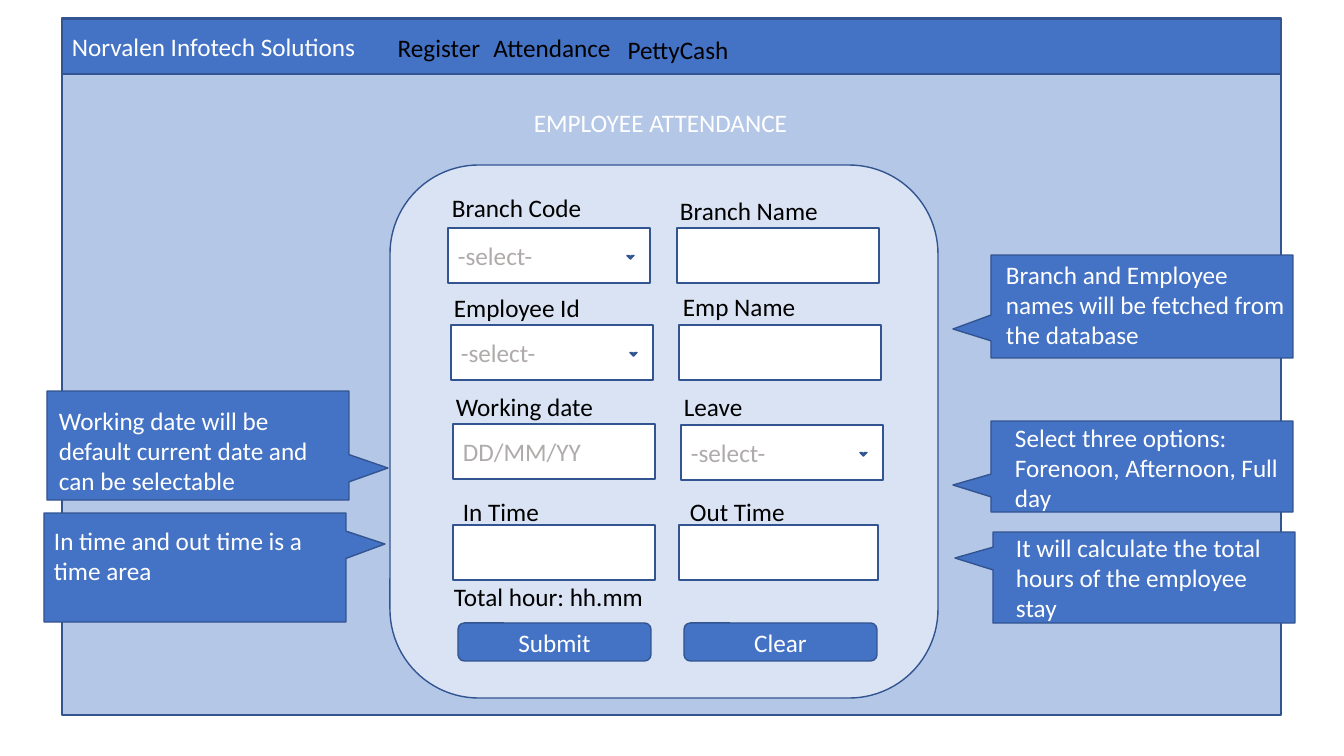
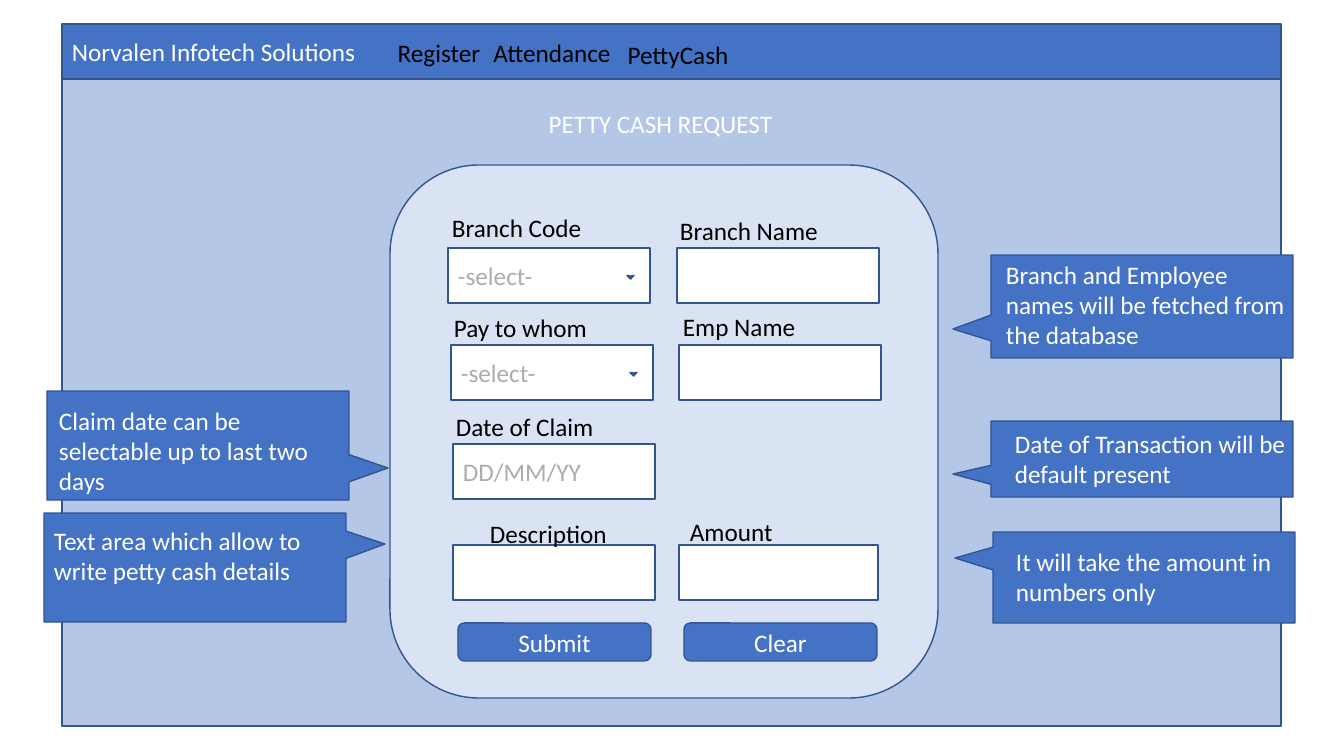
"""Build two annotated wireframes of office forms: attendance and petty cash."""
from pptx import Presentation
from pptx.dml.color import RGBColor
from pptx.enum.shapes import MSO_SHAPE
from pptx.enum.text import MSO_ANCHOR, MSO_AUTO_SIZE, PP_ALIGN
from pptx.util import Emu, Pt

PX = 914400 / 100.8
FONT = "Calibri"
COLORS = {
    "page": "B4C7E7",
    "card": "DAE3F3",
    "accent": "4472C4",
    "line": "325491",
    "white": "FFFFFF",
    "black": "000000",
    "hint": "AFABAB",
}
COMPANY = "Norvalen Infotech Solutions"
NAV = [("Register", 349, 0), ("Attendance", 462, 0), ("PettyCash", 588, 2)]
BUTTONS = [("Submit", 458), ("Clear", 684)]
SELECT, DATE = "-select-", "DD/MM/YY"

SLOTS = [
    ((442, 187), (448, 228, 202)),
    ((670, 190), (677, 228, 202)),
    ((444, 287), (451, 325, 202)),
    ((673, 286), (679, 325, 202)),
    ((446, 386), (453, 424, 202)),
    ((674, 386), (681, 425, 202)),
    ((453, 491), (453, 525, 202)),
    ((680, 491), (679, 525, 199)),
]


def px(n):
    return Emu(round(n * PX))


def rgb(name):
    return RGBColor.from_string(COLORS[name])


class Wireframe:
    """Hold the shared style and the slide being drawn."""

    def __init__(self):
        self.prs = Presentation()
        self.prs.slide_width = px(1344)
        self.prs.slide_height = px(756)
        self.s = None

    def set_text(self, sp, text, color, align=PP_ALIGN.LEFT, anchor=MSO_ANCHOR.MIDDLE):
        tf = sp.text_frame
        tf.text = text
        tf.word_wrap = True
        tf.auto_size = MSO_AUTO_SIZE.NONE
        tf.vertical_anchor = anchor
        p = tf.paragraphs[0]
        p.alignment = align
        font = p.runs[0].font
        font.name, font.size = FONT, Pt(18)
        font.color.rgb = rgb(color)

    def box(self, x, y, w, h, fill, kind=MSO_SHAPE.RECTANGLE):
        sp = self.s.shapes.add_shape(kind, px(x), px(y), px(w), px(h))
        sp.shadow.inherit = False
        sp.fill.solid()
        sp.fill.fore_color.rgb = rgb(fill)
        sp.line.color.rgb = rgb("line")
        sp.line.width = Pt(1)
        return sp

    def label(self, text, x, y, w=190, h=40, **style):
        sp = self.s.shapes.add_textbox(px(x), px(y), px(w), px(h))
        self.set_text(sp, text, "black", **style)

    def title(self, text, y):
        sp = self.s.shapes.title
        sp.left, sp.top, sp.width, sp.height = px(401), px(y), px(519), px(42)
        self.set_text(sp, text, "white", PP_ALIGN.CENTER)
        self.s.shapes.element.append(sp.element)

    def page(self, title, title_y, page_y, bar_y):
        self.s = self.prs.slides.add_slide(self.prs.slide_layouts[5])
        self.box(62, page_y, 1219, 697, "page")
        self.set_text(self.box(62, bar_y, 1219, 55, "accent"), COMPANY, "white")
        for text, x, drop in NAV:
            self.label(text, x, bar_y + 12 + drop, 180, 32, align=PP_ALIGN.CENTER)
        self.title(title, title_y)
        self.box(390, 165, 548, 533, "card", MSO_SHAPE.ROUNDED_RECTANGLE)
        for text, x in BUTTONS:
            self.button(text, x)

    def button(self, text, x):
        sp = self.box(x, 623, 193, 38, "accent", MSO_SHAPE.ROUNDED_RECTANGLE)
        self.set_text(sp, text, "white", PP_ALIGN.CENTER)

    def field(self, x, y, w, hint):
        sp = self.box(x, y, w, 55, "white")
        if hint:
            self.set_text(sp, hint, "hint")
        if hint == SELECT:
            arrow = self.box(x + 180, y + 25, 5, 5, "accent", MSO_SHAPE.HALF_FRAME)
            arrow.rotation = 224.6

    def form(self, entries, shift=0):
        for slot, text, hint, dx, dy in entries:
            (label_x, label_y), (x, y, w) = SLOTS[slot]
            self.field(x, y + shift, w, hint)
            self.label(text, label_x + dx, label_y + shift + dy,
                       anchor=MSO_ANCHOR.TOP)

    def callout(self, text, x, y, h, tip, inset):
        w = 302
        sp = self.box(x, y, w, h, "accent", MSO_SHAPE.RECTANGULAR_CALLOUT)
        sp.adjustments[0] = (tip[0] - x - w / 2) / w
        sp.adjustments[1] = (tip[1] - y - h / 2) / h
        self.set_text(sp, text, "white", anchor=MSO_ANCHOR.TOP)
        tf = sp.text_frame
        tf.margin_left, tf.margin_top = px(inset[0]), px(inset[1])
        tf.margin_right = px(2 if tip[0] < x else 10)
        tf.margin_bottom = 0

    def shared_notes(self, upper_left, lower_left, lower_right, drop):
        self.callout("Branch and Employee names will be fetched from the database",
                     991, 255, 103, (953, 329), (15, 4))
        self.callout(upper_left, 47, 391, 109, (388, 468), (12, 14))
        self.callout(lower_left, 44, 513, 109, (385, 544), (10, 12))
        self.callout(lower_right, 993, 532, 91, (955, 558), (23, drop))


def attendance(w):
    w.page("EMPLOYEE ATTENDANCE", 101, 18, 19)
    w.form([
        (0, "Branch Code", SELECT, 0, 0),
        (1, "Branch Name", "", 0, 0),
        (2, "Employee Id", SELECT, 0, 0),
        (3, "Emp Name", "", 0, 0),
        (4, "Working date", DATE, 0, 0),
        (5, "Leave", SELECT, 0, 0),
        (6, "In Time", "", 0, 0),
        (7, "Out Time", "", 0, 0),
    ])
    w.label("Total hour: hh.mm", 444, 576, 216, anchor=MSO_ANCHOR.TOP)
    w.shared_notes("Working date will be default current date and can be selectable",
                   "In time and out time is a time area",
                   "It will calculate the total hours of the employee stay", 0)
    w.callout("Select three options: Forenoon, Afternoon, Full day",
              991, 421, 91, (953, 485), (24, 1))


def petty_cash(w):
    w.page("PETTY CASH REQUEST", 102, 29, 24)
    w.form([
        (0, "Branch Code", SELECT, 0, 0),
        (1, "Branch Name", "", 0, 0),
        (2, "Pay to whom", SELECT, 0, 0),
        (3, "Emp Name", "", 0, 0),
        (4, "Date of Claim", DATE, 0, 0),
        (6, "Description", "", 27, 2),
        (7, "Amount", "", 0, 0),
    ], shift=20)
    w.shared_notes("Claim date can be selectable up to last two days",
                   "Text area which allow to write petty cash details",
                   "It will take the amount in numbers only", 14)
    w.callout("Date of Transaction will be default present",
              991, 421, 76, (953, 474), (24, 7))


wireframe = Wireframe()
attendance(wireframe)
petty_cash(wireframe)
wireframe.prs.save("out.pptx")
